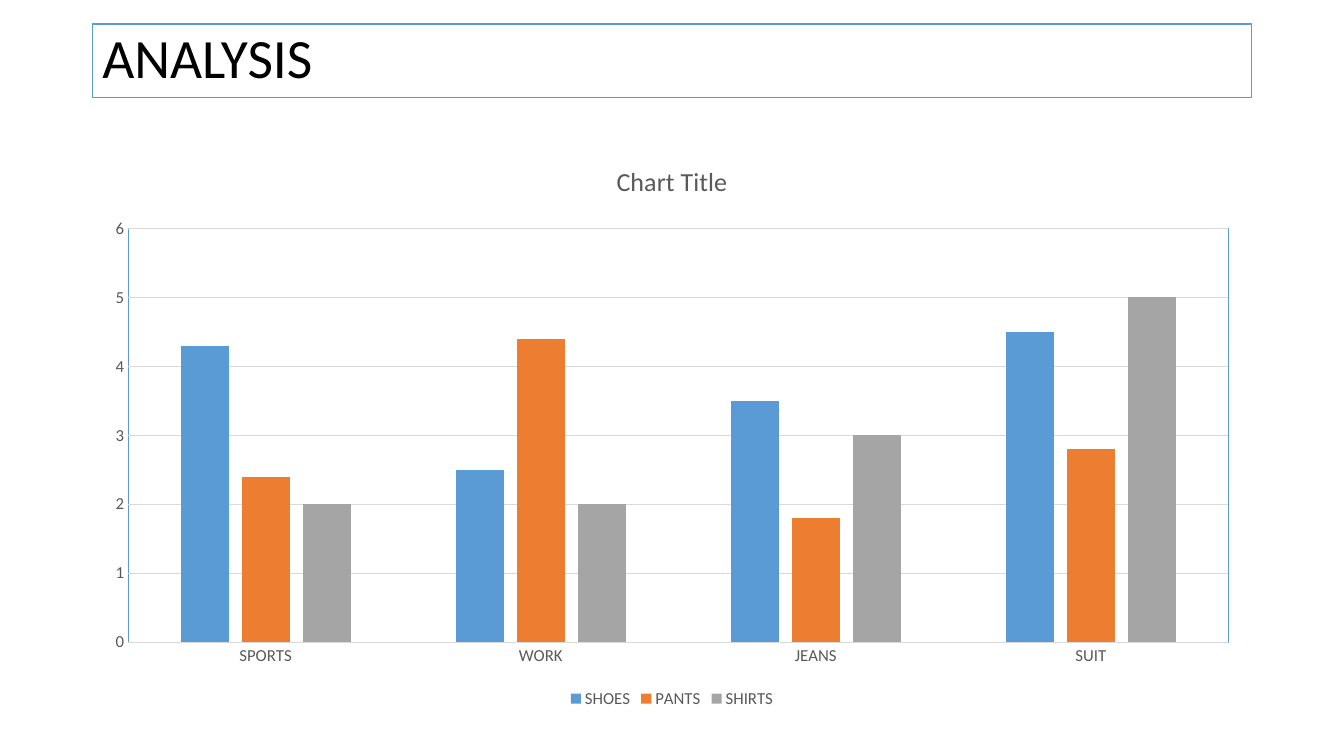
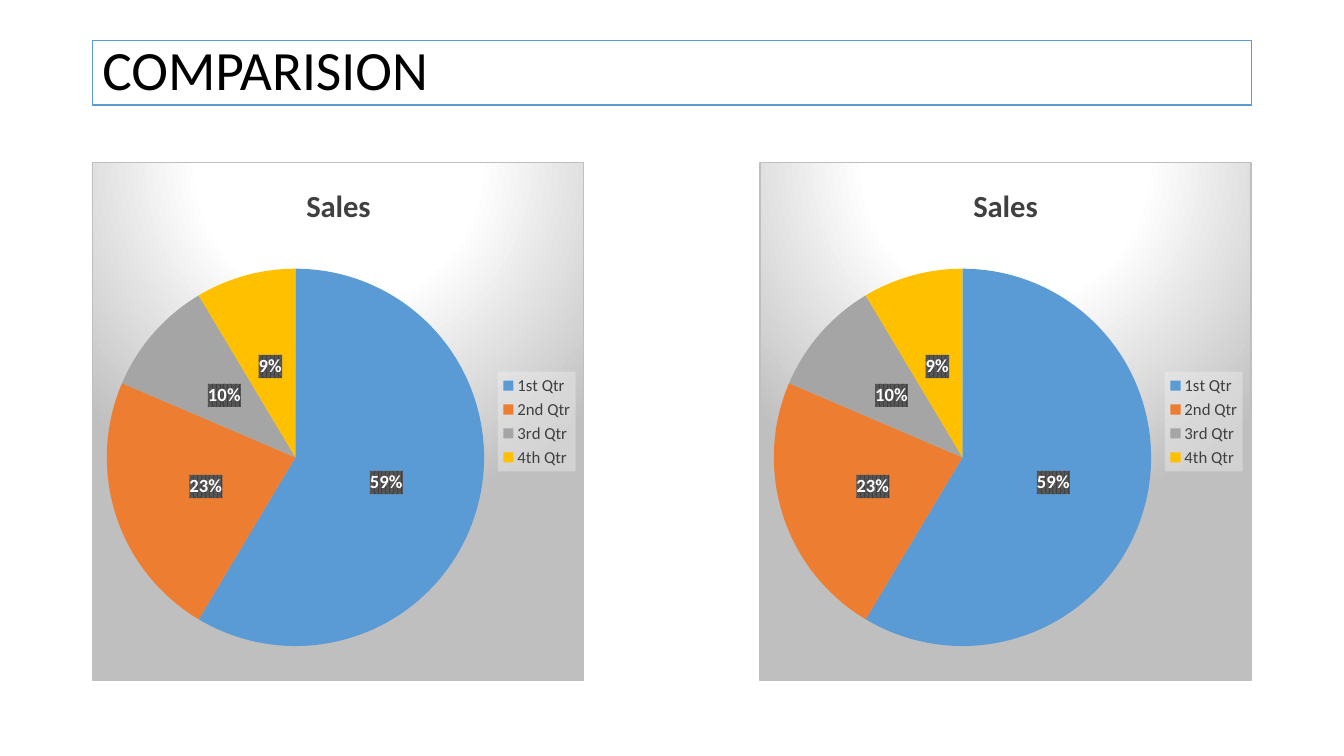
from lxml.etree import fromstring
from pptx import Presentation
from pptx.chart.data import CategoryChartData as Data
from pptx.dml.color import RGBColor as RGB
from pptx.enum.chart import (XL_CHART_TYPE as Kind, XL_LABEL_POSITION as Spot,
                             XL_LEGEND_POSITION as Side, XL_TICK_MARK as Tick)
from pptx.enum.shapes import MSO_SHAPE as Form
from pptx.enum.text import MSO_ANCHOR as Anchor, PP_ALIGN as Align
from pptx.util import Cm, Pt

FONT = "Calibri"
BLACK, WHITE = RGB(0, 0, 0), RGB(255, 255, 255)
BLUE, ORANGE = RGB(0x5B, 0x9B, 0xD5), RGB(0xED, 0x7D, 0x31)
GREY, GOLD = RGB(0xA5, 0xA5, 0xA5), RGB(0xFF, 0xC0, 0x00)
RULE, MID, DARK = RGB(0xD9, 0xD9, 0xD9), RGB(0x59, 0x59, 0x59), RGB(0x40, 0x40, 0x40)
SILVER, PALE = RGB(0xBF, 0xBF, 0xBF), RGB(0xF2, 0xF2, 0xF2)
HUES = [BLUE, ORANGE, GREY, GOLD]

LEFT, WIDTH = 2.33, 29.21

GOODS = {
    "cats": ["SPORTS", "WORK", "JEANS", "SUIT"],
    "rows": {
        "SHOES": [4.3, 2.5, 3.5, 4.5],
        "PANTS": [2.4, 4.4, 1.8, 2.8],
        "SHIRTS": [2, 2, 3, 5],
    },
}
SALES = {
    "cats": ["1st Qtr", "2nd Qtr", "3rd Qtr", "4th Qtr"],
    "rows": {"Sales": [8.2, 3.2, 1.4, 1.2]},
}


def color(rgb, alpha=100):
    return f'<a:srgbClr val="{rgb}"><a:alpha val="{alpha * 1000}"/></a:srgbClr>'


def solid(rgb, alpha=100):
    return f"<a:solidFill>{color(rgb, alpha)}</a:solidFill>"


def border(rgb, size):
    return f'<a:ln w="{Pt(size)}">{solid(rgb)}</a:ln>'


STOPS = "".join(f'<a:gs pos="{pos * 1000}">{color(rgb)}</a:gs>'
                for pos, rgb in [(0, WHITE), (39, WHITE), (100, SILVER)])
GLOW = (f'<a:gradFill><a:gsLst>{STOPS}</a:gsLst><a:path path="circle">'
        '<a:fillToRect l="50000" t="-80000" r="50000" b="180000"/></a:path></a:gradFill>')
WEAVE = (f'<a:pattFill prst="pct75"><a:fgClr>{color(DARK)}</a:fgClr>'
         f'<a:bgClr>{color(MID)}</a:bgClr></a:pattFill>')


def look(parts):
    """Make the shape properties of a chart part from fill and line XML."""
    return fromstring(
        '<c:spPr xmlns:c="http://schemas.openxmlformats.org/drawingml/2006/chart" '
        'xmlns:a="http://schemas.openxmlformats.org/drawingml/2006/main">'
        f"{parts}</c:spPr>")


def paint(part, parts):
    """Style a chart part whose font is already set."""
    part.find("{*}txPr").addprevious(look(parts))


def style(font, size, rgb, bold=False):
    font.name, font.size, font.bold = FONT, Pt(size), bold
    font.color.rgb = rgb


def fill(item, rgb):
    item.fill.solid()
    item.fill.fore_color.rgb = rgb


def rule(line, rgb, size):
    line.color.rgb = rgb
    line.width = Pt(size)


def add_page(deck, text, top, height):
    page = deck.slides.add_slide(deck.slide_layouts[6])
    box = page.shapes.add_shape(Form.RECTANGLE, Cm(LEFT), Cm(top), Cm(WIDTH), Cm(height))
    box.shadow.inherit = False
    fill(box, WHITE)
    rule(box.line, BLUE, 1)
    frame = box.text_frame
    frame.word_wrap = True
    frame.vertical_anchor = Anchor.MIDDLE
    para = frame.paragraphs[0]
    para.alignment, para.line_spacing = Align.LEFT, 0.9
    run = para.add_run()
    run.text = text
    style(run.font, 39.6, BLACK)
    return page


def add_plot(page, kind, table, at, title, side, ink):
    """Add a chart with its title and legend; title is text, size and bold."""
    data = Data()
    data.categories = table["cats"]
    for name, vals in table["rows"].items():
        data.add_series(name, vals)
    chart = page.shapes.add_chart(kind, *map(Cm, at), data).chart
    style(chart.font, 10, BLACK)
    text, size, bold = title
    run = chart.chart_title.text_frame.paragraphs[0].add_run()
    run.text = text
    style(run.font, size, ink, bold)
    chart.has_legend = True
    chart.legend.position = side
    chart.legend.include_in_layout = False
    style(chart.legend.font, 12, ink)
    return chart


def add_bars(page, at):
    chart = add_plot(page, Kind.COLUMN_CLUSTERED, GOODS, at,
                     ("Chart Title", 18.6, False), Side.BOTTOM, MID)
    plot = chart.plots[0]
    plot.vary_by_categories = False
    plot.gap_width, plot.overlap = 219, -27
    for row, rgb in zip(plot.series, HUES):
        fill(row.format, rgb)
    for axis in (chart.category_axis, chart.value_axis):
        axis.major_tick_mark = axis.minor_tick_mark = Tick.NONE
        style(axis.tick_labels.font, 12, MID)
    rule(chart.category_axis.format.line, RULE, 0.75)
    axis = chart.value_axis
    axis.minimum_scale, axis.maximum_scale, axis.major_unit = 0, 6, 1
    axis.format.line.fill.background()
    rule(axis.major_gridlines.format.line, RULE, 0.75)
    area = chart.element.find(".//{*}plotArea")
    area.append(look("<a:noFill/>" + border(BLUE, 0.75)))


def add_pie(page, at):
    chart = add_plot(page, Kind.PIE, SALES, at, ("Sales", 22, True), Side.RIGHT, DARK)
    plot = chart.plots[0]
    plot.vary_by_categories = True
    row = plot.series[0]
    for i, rgb in enumerate(HUES):
        fill(row.points[i].format, rgb)
    tags = row.data_labels
    tags.show_percentage, tags.show_value = True, False
    tags.number_format, tags.number_format_is_linked = "0%", False
    tags.position = Spot.CENTER
    style(tags.font, 13.3, WHITE, True)
    root = chart.element
    paint(root, GLOW + border(SILVER, 0.75))
    paint(root.find(".//{*}legend"), solid(PALE, 39))
    paint(root.find(".//{*}ser/{*}dLbls"), WEAVE)


def main():
    deck = Presentation()
    deck.slide_width, deck.slide_height = Cm(33.87), Cm(19.05)

    page = add_page(deck, "ANALYSIS", 0.61, 1.85)
    add_bars(page, (LEFT, 3.58, WIDTH, 14.38))

    page = add_page(deck, "COMPARISION", 1.02, 1.63)
    wide = 12.4
    for left in (LEFT, LEFT + WIDTH - wide):
        add_pie(page, (left, 4.09, wide, 13.06))

    deck.save("out.pptx")


if __name__ == "__main__":
    main()
